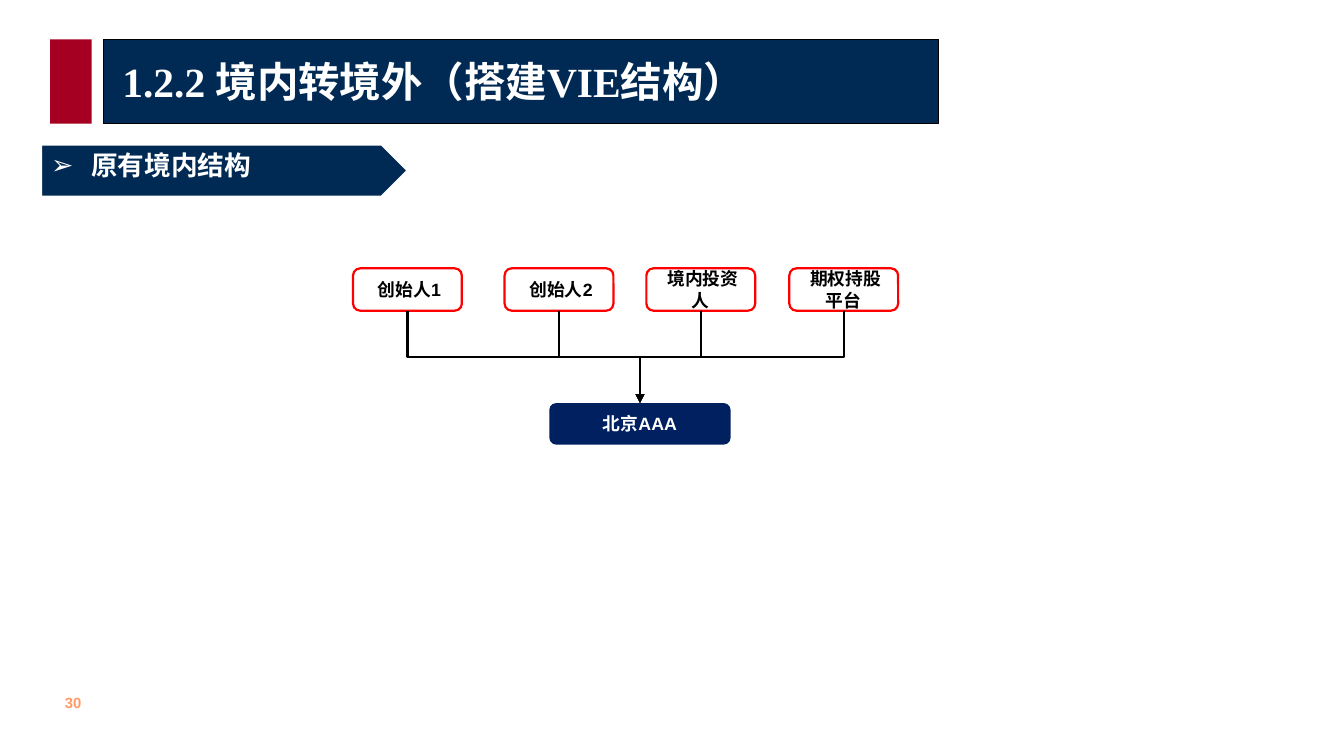
from lxml import etree
from pptx import Presentation
from pptx.dml.color import RGBColor
from pptx.enum.shapes import MSO_CONNECTOR, MSO_SHAPE
from pptx.enum.text import MSO_ANCHOR, PP_ALIGN
from pptx.oxml.ns import qn
from pptx.util import Pt

RECTANGLE = MSO_SHAPE.RECTANGLE
ROUNDED = MSO_SHAPE.ROUNDED_RECTANGLE
PENTAGON = MSO_SHAPE.PENTAGON
ELBOW = MSO_CONNECTOR.ELBOW
MIDDLE = MSO_ANCHOR.MIDDLE
TOP = MSO_ANCHOR.TOP
CENTER = PP_ALIGN.CENTER
LEFT = PP_ALIGN.LEFT

# Content
TITLE = "1.2.2 境内转境外（搭建VIE结构）"
SECTION = "原有境内结构"
PAGE_NUMBER = "30"
COMPANY = "北京AAA"
SHAREHOLDERS = [  # label, left edge
    (" 创始人1", 238.3),
    (" 创始人2", 340.6),
    (" 境内投资人", 436.3),
    (" 期权持股平台", 532.8),
]

# Theme
THEME = {
    "navy": "002A54", "company": "002060", "crimson": "A50021",
    "red": "FF0000", "orange": "FF9966", "white": "FFFFFF", "black": "000000",
    "title_font": "Times New Roman", "body_font": "Arial",
    "title_size": 28, "section_size": 18, "box_size": 12, "page_size": 10,
}

# Layout in points
SLIDE_SIZE = (907.2, 510.48)
BAR_TOP, BAR_HEIGHT = 26.64, 56.88
HOLDER_TOP, HOLDER_WIDTH, HOLDER_HEIGHT = 181.2, 73.44, 28.6
COMPANY_BOX = (370.8, 272.16, 122.4, 28.08)

presentation = Presentation()
presentation.slide_width, presentation.slide_height = map(Pt, SLIDE_SIZE)
slide = presentation.slides.add_slide(presentation.slide_layouts[6])


def color(name):
    return RGBColor.from_string(THEME[name])


def add_block(kind, box, fill, line=None, line_width=1):
    shape = slide.shapes.add_shape(kind, *map(Pt, box))
    shape.shadow.inherit = False
    shape.fill.solid()
    shape.fill.fore_color.rgb = color(fill)
    if line:
        shape.line.color.rgb = color(line)
        shape.line.width = Pt(line_width)
    else:
        shape.line.fill.background()
    return shape


def write(shape, text, role, font, ink, anchor=MIDDLE, align=LEFT, wrap=True):
    frame = shape.text_frame
    frame.word_wrap = wrap
    frame.vertical_anchor = anchor
    paragraph = frame.paragraphs[0]
    paragraph.alignment = align
    run = paragraph.add_run()
    run.text = text
    run.font.name = THEME[font]
    run.font.size = Pt(THEME[role])
    run.font.bold = True
    run.font.color.rgb = color(ink)
    return paragraph


def add_text(box, *args, **options):
    return write(slide.shapes.add_textbox(*map(Pt, box)), *args, **options)


def add_bullet(paragraph, character, indent):
    properties = paragraph._p.get_or_add_pPr()
    properties.set("marL", str(Pt(indent)))
    properties.set("indent", str(-Pt(indent)))
    etree.SubElement(properties, qn("a:buFont"), typeface="Arial")
    etree.SubElement(properties, qn("a:buChar"), char=character)


def add_ownership_arrow(holder, company):
    """Elbow running down from the holder, across, and down to the company."""
    start_x, start_y = holder.left + holder.width // 2, holder.top + holder.height
    end_x, end_y = company.left + company.width // 2, company.top
    drop, span = end_y - start_y, abs(end_x - start_x)
    connector = slide.shapes.add_connector(ELBOW, start_x, start_y, end_x, end_y)
    connector.begin_connect(holder, 2)
    connector.end_connect(company, 0)
    # A vertical elbow is a horizontal one turned about its centre
    connector.left = (start_x + end_x - drop) // 2
    connector.top = (start_y + end_y - span) // 2
    connector.width, connector.height = drop, span
    from_left = start_x < end_x
    properties = connector._element.spPr
    transform = properties.find(qn("a:xfrm"))
    transform.set("rot", str((270 if from_left else 90) * 60000))
    transform.set("flipH", "1" if from_left else "0")
    transform.set("flipV", "0")
    connector.line.color.rgb = color("black")
    connector.line.width = Pt(1.5)
    etree.SubElement(properties.find(qn("a:ln")), qn("a:tailEnd"), type="triangle")
    etree.SubElement(properties, qn("a:effectLst"))


# Title bar
add_block(RECTANGLE, (69.84, BAR_TOP, 563.76, BAR_HEIGHT), "navy", "black")
add_block(RECTANGLE, (33.84, BAR_TOP, 28.08, BAR_HEIGHT), "crimson")
add_text((75.6, 27.36, 552.24, 54), TITLE, "title_size", "title_font", "white")

# Section heading
add_block(PENTAGON, (27.36, 97.2, 248.4, 36), "navy", "white", 2.25)
heading = add_text((27.36, 97.2, 221.76, 28.8), SECTION, "section_size",
                   "title_font", "white", anchor=TOP)
add_bullet(heading, "➢", 27)

# Ownership chart
company = add_block(ROUNDED, COMPANY_BOX, "company")
write(company, COMPANY, "box_size", "body_font", "white", align=CENTER)
for label, left in SHAREHOLDERS:
    holder = add_block(ROUNDED, (left, HOLDER_TOP, HOLDER_WIDTH, HOLDER_HEIGHT),
                       "white", "red", 1.5)
    write(holder, label, "box_size", "body_font", "black", align=CENTER)
    add_ownership_arrow(holder, company)

# Page number
add_text((36.72, 465.12, 26.64, 19.44), PAGE_NUMBER, "page_size", "body_font",
         "orange", anchor=TOP, wrap=False)

presentation.save("out.pptx")
